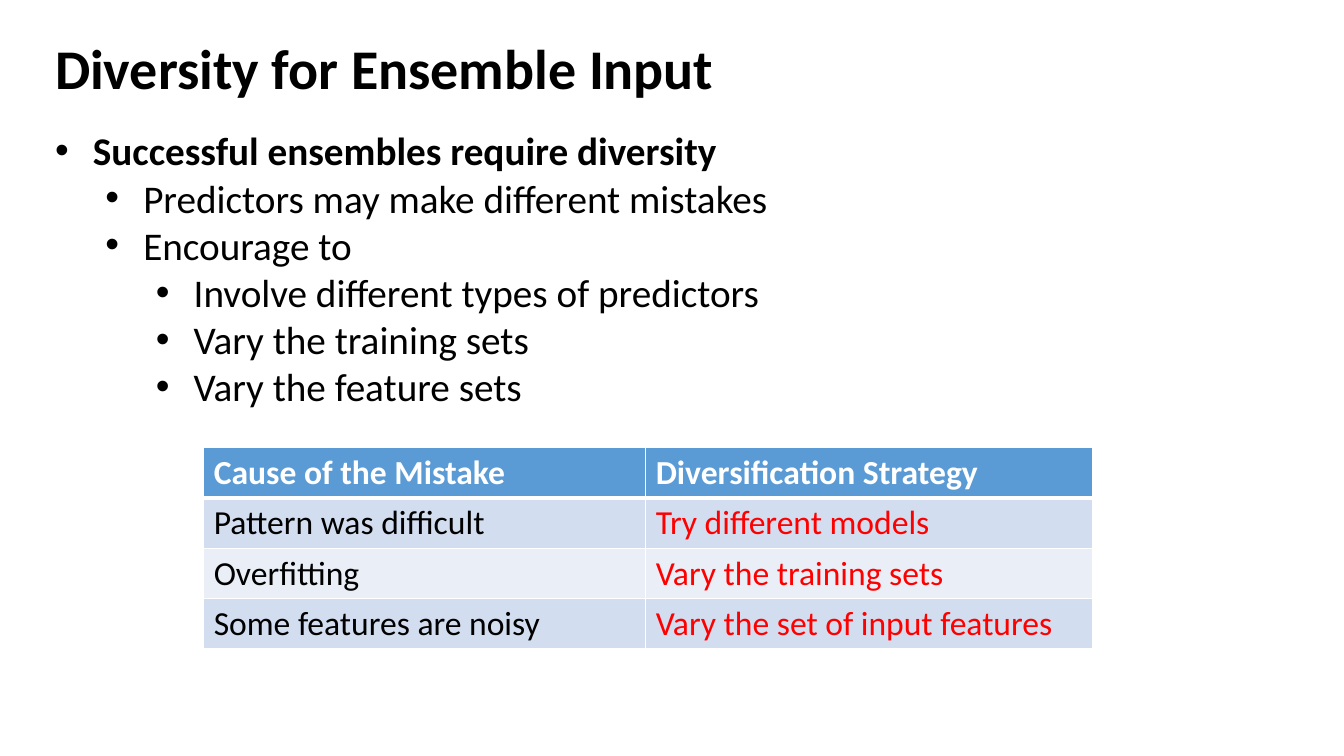
from lxml import etree
from pptx import Presentation
from pptx import util as u
from pptx.dml.color import RGBColor
from pptx.enum import text
from pptx.oxml.ns import qn

PX = 9525  # EMU in one px, 96 px to the inch
FONT = "Calibri"
BLACK, WHITE, RED = "000000", "FFFFFF", "FF0000"
HEAD, BANDS = "5B9BD5", ("D2DEEF", "EAEFF7")

POINTS = [
    (0, "Successful ensembles require diversity"),
    (1, "Predictors may make different mistakes"),
    (1, "Encourage to"),
    (2, "Involve different types of predictors"),
    (2, "Vary the training sets"),
    (2, "Vary the feature sets"),
]
ROWS = [
    ("Cause of the Mistake", "Diversification Strategy"),
    ("Pattern was difficult", "Try different models"),
    ("Overfitting", "Vary the training sets"),
    ("Some features are noisy", "Vary the set of input features"),
]


def px(*nums):
    return [u.Emu(n * PX) for n in nums]


def rgb(code):
    return RGBColor.from_string(code)


def style(para, size, color, bold):
    for run in para.runs:
        font = run.font
        font.name, font.size, font.bold = FONT, u.Pt(size), bold
        font.color.rgb = rgb(color)


def add_title(slide, box, words):
    frame = slide.shapes.add_textbox(*px(*box)).text_frame
    frame.word_wrap = False
    frame.auto_size = text.MSO_AUTO_SIZE.SHAPE_TO_FIT_TEXT
    frame.text = words
    style(frame.paragraphs[0], 40, BLACK, True)


def add_bullet(para, level):
    hang, step = 36, 48
    para.level = level
    props = para._p.get_or_add_pPr()
    props.set("marL", str((hang + level * step) * PX))
    props.set("indent", str(-hang * PX))
    etree.SubElement(props, qn("a:buFont"), typeface="Arial")
    etree.SubElement(props, qn("a:buChar"), char="•")


def add_points(slide, box, points):
    frame = slide.shapes.add_textbox(*px(*box)).text_frame
    frame.word_wrap = True
    frame.auto_size = text.MSO_AUTO_SIZE.SHAPE_TO_FIT_TEXT
    frame.text = "\n".join(words for _, words in points)
    for para, (level, _) in zip(frame.paragraphs, points):
        add_bullet(para, level)
        style(para, 28, BLACK, level == 0)


def add_border(cell, side, width):
    props = cell._tc.get_or_add_tcPr()
    line = etree.SubElement(props, qn("a:ln" + side), w=str(u.Pt(width)))
    fill = etree.SubElement(line, qn("a:solidFill"))
    etree.SubElement(fill, qn("a:srgbClr"), val=WHITE)


def fill_cell(cell, words, row, col):
    thick = {(0, "B"), (1, "T")}
    for side in "LRTB":
        add_border(cell, side, 3 if (row, side) in thick else 1)
    cell.fill.solid()
    cell.fill.fore_color.rgb = rgb(BANDS[(row - 1) % 2] if row else HEAD)
    cell.text_frame.text = words
    color = (BLACK, RED)[col] if row else WHITE
    style(cell.text_frame.paragraphs[0], 24, color, row == 0)


def add_grid(slide, box, widths, rows):
    shape = slide.shapes.add_table(len(rows), len(widths), *px(*box))
    table = shape.table
    for col, width in zip(table.columns, px(*widths)):
        col.width = width
    for r, row in enumerate(rows):
        for c, words in enumerate(row):
            fill_cell(table.cell(r, c), words, r, c)


def main():
    deck = Presentation()
    deck.slide_width, deck.slide_height = px(1280, 720)
    slide = deck.slides.add_slide(deck.slide_layouts[6])
    add_title(slide, (43, 27, 654, 74), "Diversity for Ensemble Input")
    add_points(slide, (43, 116, 1049, 281), POINTS)
    add_grid(slide, (194, 426, 847, 192), (421, 426), ROWS)
    deck.save("out.pptx")


if __name__ == "__main__":
    main()
